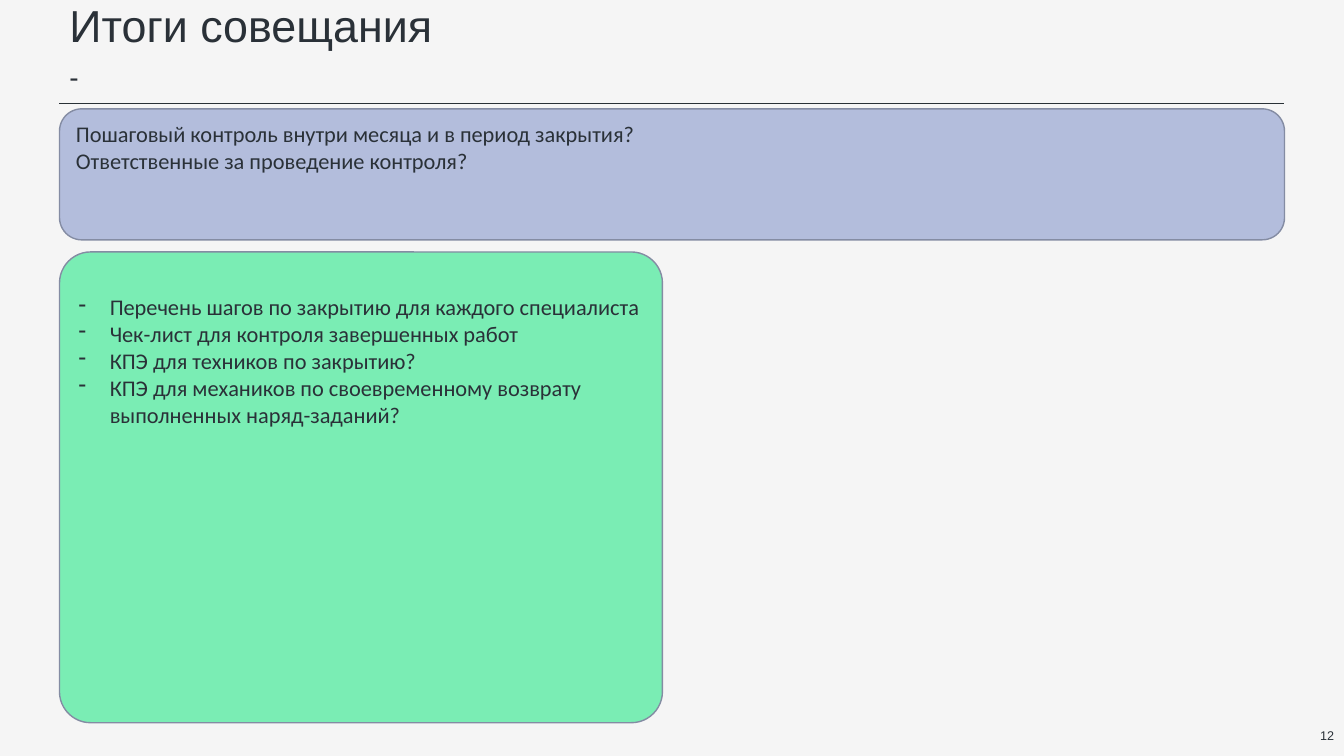
from lxml import etree
from pptx import Presentation
from pptx.dml.color import RGBColor
from pptx.enum.shapes import MSO_CONNECTOR, MSO_SHAPE
from pptx.enum.text import MSO_ANCHOR, PP_ALIGN
from pptx.oxml.ns import qn
from pptx.util import Inches, Pt

STRAIGHT = MSO_CONNECTOR.STRAIGHT
ROUNDED = MSO_SHAPE.ROUNDED_RECTANGLE
TOP, MIDDLE = MSO_ANCHOR.TOP, MSO_ANCHOR.MIDDLE
LEFT, RIGHT = PP_ALIGN.LEFT, PP_ALIGN.RIGHT

THEME = {
    "background": "F5F5F5", "text": "2A3138", "rule": "293136",
    "outline": "848CA3", "questions": "B3BDDC", "actions": "7AEDB4",
    "heading_font": "Arial", "body_font": "Calibri",
    "title": 32, "subtitle": 20, "body": 16, "number": 9,
}

TITLE = "Итоги совещания"
SUBTITLE = "-"
PAGE_NUMBER = "12"
QUESTIONS = [
    "Пошаговый контроль внутри месяца и в период закрытия?",
    "Ответственные за проведение контроля?",
]
ACTIONS = [
    "Перечень шагов по закрытию для каждого специалиста",
    "Чек-лист для контроля завершенных работ",
    "КПЭ для техников по закрытию?",
    "КПЭ для механиков по своевременному возврату выполненных наряд-заданий?",
]

SLIDE_W, SLIDE_H = 13.33, 7.5
MARGIN = 0.59
CONTENT_W = SLIDE_W - 2 * MARGIN
RULE_Y = 1.02
HANGING = 0.31
NUMBER_W, NUMBER_H = 0.74, 0.4


def color(key):
    return RGBColor.from_string(THEME[key])


def write(frame, lines, size, font="heading_font", align=LEFT, anchor=TOP,
          wrap=True, spacing=None, bullet=None, inset_top=0.05):
    frame_format = {"word_wrap": wrap, "vertical_anchor": anchor,
                    "margin_top": Inches(inset_top)}
    for name, value in frame_format.items():
        setattr(frame, name, value)
    for index, line in enumerate(lines):
        paragraph = frame.paragraphs[0] if index == 0 else frame.add_paragraph()
        paragraph.text = line
        paragraph.alignment = align
        if spacing:
            paragraph.line_spacing = spacing
        if bullet:
            properties = paragraph._p.get_or_add_pPr()
            properties.set("marL", str(Inches(HANGING)))
            properties.set("indent", str(-Inches(HANGING)))
            etree.SubElement(properties, qn("a:buChar")).set("char", bullet)
        run_font = paragraph.runs[0].font
        for name, value in {"name": THEME[font], "size": Pt(THEME[size])}.items():
            setattr(run_font, name, value)
        run_font.color.rgb = color("text")


def add_label(slide, box, lines, size, **text_format):
    label = slide.shapes.add_textbox(*map(Inches, box))
    write(label.text_frame, lines, size, **text_format)


def add_panel(slide, box, fill, lines, corner, **text_format):
    panel = slide.shapes.add_shape(ROUNDED, *map(Inches, box))
    panel.shadow.inherit = False
    panel.adjustments[0] = corner
    panel.fill.solid()
    panel.fill.fore_color.rgb = color(fill)
    panel.line.color.rgb = color("outline")
    panel.line.width = Pt(1)
    write(panel.text_frame, lines, "body", font="body_font", **text_format)


def add_rule(slide):
    rule = slide.shapes.add_connector(
        STRAIGHT, *map(Inches, (MARGIN, RULE_Y, MARGIN + CONTENT_W, RULE_Y)))
    rule.line.color.rgb = color("rule")
    rule.line.width = Pt(0.2)
    etree.SubElement(rule._element.spPr, qn("a:effectLst"))


def main():
    deck = Presentation()
    deck.slide_width, deck.slide_height = Inches(SLIDE_W), Inches(SLIDE_H)
    slide = deck.slides.add_slide(deck.slide_layouts[6])
    slide.background.fill.solid()
    slide.background.fill.fore_color.rgb = color("background")

    add_rule(slide)
    add_label(slide, (SLIDE_W - NUMBER_W, SLIDE_H - NUMBER_H, NUMBER_W, NUMBER_H),
              [PAGE_NUMBER], "number", align=RIGHT, anchor=MIDDLE)
    add_label(slide, (MARGIN, -0.01, CONTENT_W, 0.6), [TITLE], "title", spacing=0.9)
    add_label(slide, (MARGIN, 0.54, 0.29, 0.44), [SUBTITLE], "subtitle", wrap=False)
    add_panel(slide, (MARGIN, 1.08, CONTENT_W, 1.3), "questions", QUESTIONS, 0.17)
    add_panel(slide, (MARGIN, 2.5, 5.98, 4.67), "actions", ACTIONS, 0.066,
              bullet="-", inset_top=0.32)
    deck.save("out.pptx")


if __name__ == "__main__":
    main()
